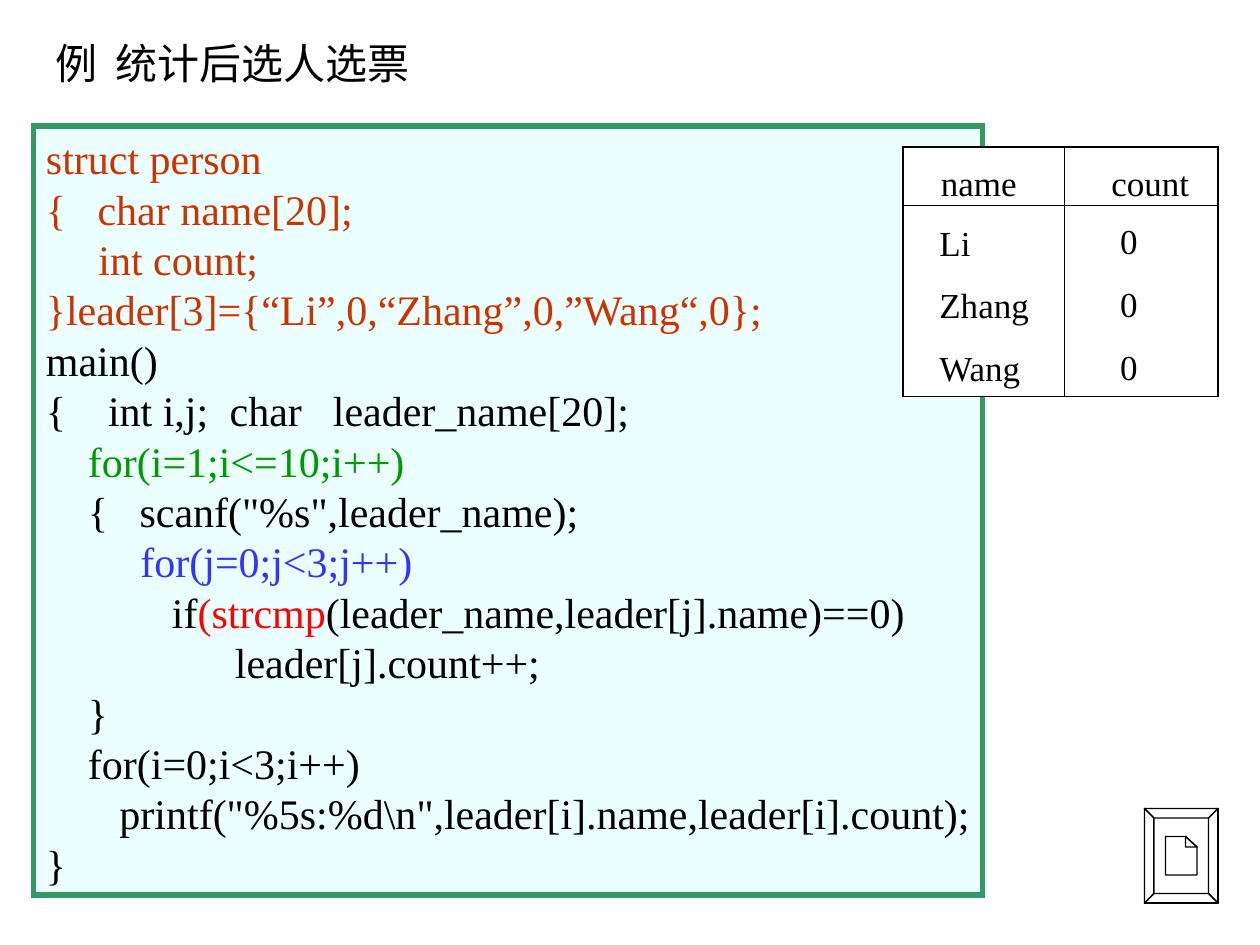
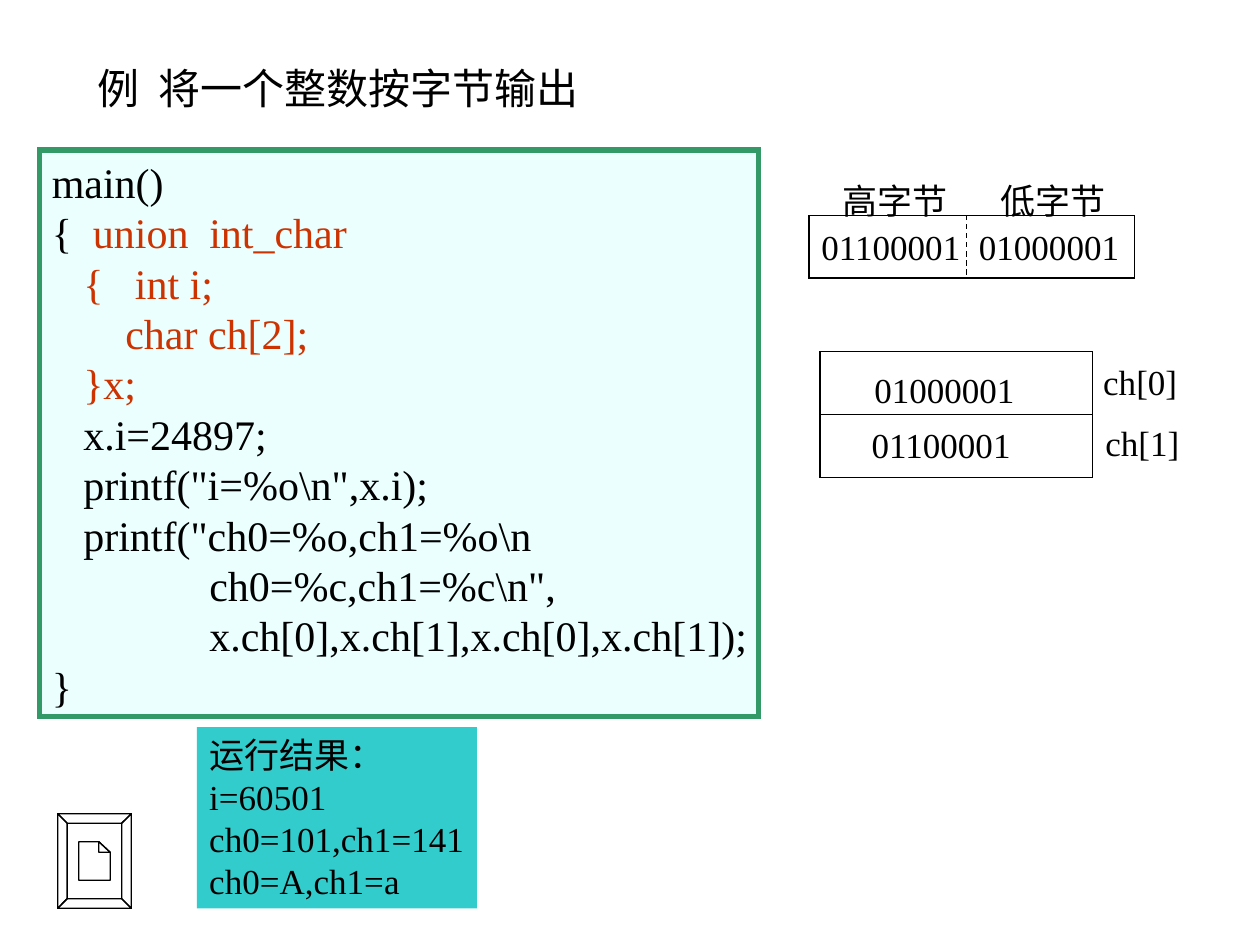
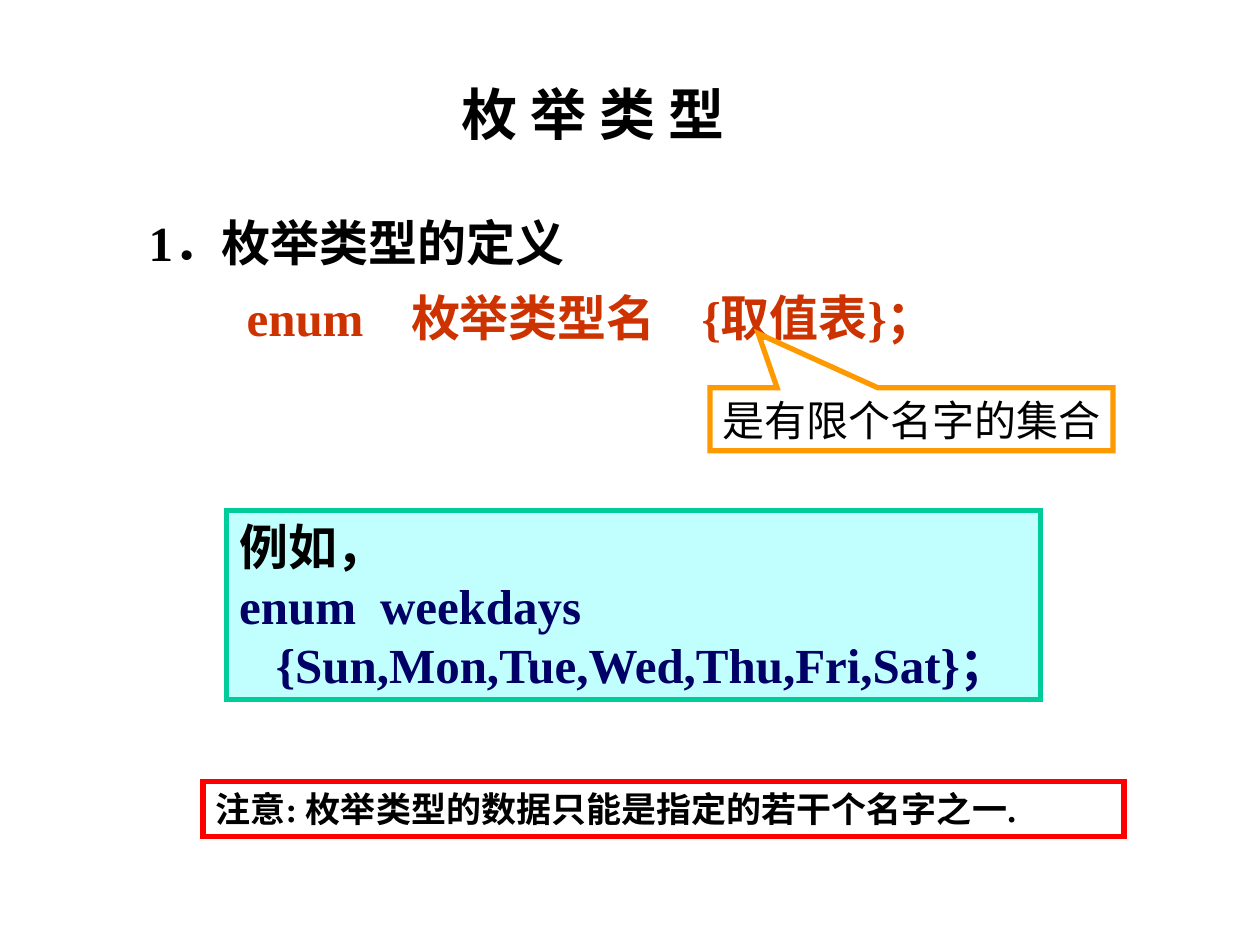
from lxml import etree
from pptx import Presentation
from pptx.dml.color import RGBColor
from pptx.enum.dml import MSO_LINE
from pptx.enum.shapes import MSO_CONNECTOR, MSO_SHAPE
from pptx.enum.text import MSO_ANCHOR, MSO_AUTO_SIZE, PP_ALIGN
from pptx.oxml.ns import qn
from pptx.util import Pt

RECTANGLE = MSO_SHAPE.RECTANGLE
CALLOUT = MSO_SHAPE.RECTANGULAR_CALLOUT
STRAIGHT = MSO_CONNECTOR.STRAIGHT
DASH = MSO_LINE.DASH
TOP, MIDDLE = MSO_ANCHOR.TOP, MSO_ANCHOR.MIDDLE
LEFT, CENTER = PP_ALIGN.LEFT, PP_ALIGN.CENTER
GROW, FIXED = MSO_AUTO_SIZE.SHAPE_TO_FIT_TEXT, MSO_AUTO_SIZE.NONE

LATIN_FONT = "Times New Roman"
CHINESE_FONT = "Noto Sans CJK SC"
COLORS = {
    "black": "000000", "white": "FFFFFF", "rust": "CC3300",
    "green": "009900", "blue": "3333FF", "red": "FF0000",
    "navy": "000066", "code": "EBFFFF", "frame": "339966",
    "result": "33CCCC", "example": "C1FFFF", "mint": "00CC99",
    "orange": "FF9900",
}
PALETTE = {name: RGBColor.from_string(value) for name, value in COLORS.items()}


def write(box, lines, size, bold=False, font=LATIN_FONT, wrap=False,
          anchor=TOP, align=LEFT, autosize=GROW):
    frame = box.text_frame
    frame.word_wrap = wrap
    frame.vertical_anchor = anchor
    frame.auto_size = autosize
    for number, (stops, spans) in enumerate(lines):
        para = frame.add_paragraph() if number else frame.paragraphs[0]
        para.alignment = align
        if stops:
            tabs = etree.SubElement(para._p.get_or_add_pPr(), qn("a:tabLst"))
            for stop in stops:
                etree.SubElement(tabs, qn("a:tab"), pos=str(Pt(stop)), algn="l")
        for text, color in spans:
            span = para.add_run()
            span.text = text
            span.font.size = Pt(size)
            span.font.bold = bold
            span.font.name = font
            span.font.color.rgb = PALETTE[color]
            etree.SubElement(span._r.get_or_add_rPr(), qn("a:ea"), typeface=CHINESE_FONT)


def add_panel(page, place, fill=None, border=None, width=3, preset=RECTANGLE):
    panel = page.shapes.add_shape(preset, *map(Pt, place))
    panel.shadow.inherit = False
    if fill:
        panel.fill.solid()
        panel.fill.fore_color.rgb = PALETTE[fill]
    else:
        panel.fill.background()
    if border:
        panel.line.color.rgb = PALETTE[border]
        panel.line.width = Pt(width)
        etree.SubElement(panel.line._get_or_add_ln(), qn("a:miter"), lim="800000")
    else:
        panel.line.fill.background()
    return panel


deck = Presentation()
deck.slide_width = Pt(720)
deck.slide_height = Pt(540)
votes, bytes_page, enums = [deck.slides.add_slide(deck.slide_layouts[6]) for _ in range(3)]

button_outlines = [
    [(0, 0), (42, 0), (42, 54), (0, 54)],
    [(0, 0), (42, 0), (36.6, 5.4), (5.4, 5.4)],
    [(42, 0), (42, 54), (36.6, 48.6), (36.6, 5.4)],
    [(42, 54), (0, 54), (5.4, 48.6), (36.6, 48.6)],
    [(0, 54), (0, 0), (5.4, 5.4), (5.4, 48.6)],
    [(12, 16), (23.5, 16), (30, 22), (30, 38), (12, 38)],
    [(23.5, 16), (30, 22), (23.5, 22)],
]
for page, left, top in [(votes, 654, 462), (bytes_page, 33, 465)]:
    builder = page.shapes.build_freeform(Pt(left), Pt(top))
    for outline in button_outlines:
        points = [(Pt(left + x), Pt(top + y)) for x, y in outline]
        builder.move_to(*points[0])
        builder.add_line_segments(points[1:], close=True)
    button = builder.convert_to_shape()
    button.shadow.inherit = False
    button.fill.solid()
    button.fill.fore_color.rgb = PALETTE["white"]
    button.line.color.rgb = PALETTE["black"]
    button.line.width = Pt(0.75)

titles = [
    (votes, (24.5, 18, 222, 36), "例\t统计后选人选票"),
    (bytes_page, (48.7, 32.4, 294, 36), "例\t将一个整数按字节输出"),
]
for page, place, text in titles:
    title = page.shapes.add_textbox(*map(Pt, place))
    write(title, [([34.7], [(text, "black")])], 24)

vote_code = [
    ([], [("struct person", "rust")]),
    ([29.5], [("{\tchar name[20];", "rust")]),
    ([30], [("\tint count;", "rust")]),
    ([], [("}leader[3]={“Li”,0,“Zhang”,0,”Wang“,0};", "rust")]),
    ([], [("main()", "black")]),
    ([35.5, 105, 164], [("{\tint i,j;\tchar\tleader_name[20];", "black")]),
    ([24], [("\tfor(i=1;i<=10;i++)", "green")]),
    ([24, 53.5], [("\t{\tscanf(\"%s\",leader_name);", "black")]),
    ([54], [("\tfor(j=0;j<3;j++)", "blue")]),
    ([72], [("\tif", "black"), ("(strcmp", "red"),
            ("(leader_name,leader[j].name)==0)", "black")]),
    ([108], [("\tleader[j].count++;", "black")]),
    ([24], [("\t}", "black")]),
    ([24], [("\tfor(i=0;i<3;i++)", "black")]),
    ([42], [("\tprintf(\"%5s:%d\\n\",leader[i].name,leader[i].count);", "black")]),
    ([], [("}", "black")]),
]
union_code = [
    ([], [("main()", "black")]),
    ([23.5, 90], [("{\t", "black"), ("union\tint_char", "rust")]),
    ([18, 47.5], [("\t{\tint i;", "rust")]),
    ([42], [("\tchar ch[2];", "rust")]),
    ([18], [("\t}x;", "rust")]),
    ([18], [("\tx.i=24897;", "black")]),
    ([18], [("\tprintf(\"i=%o\\n\",x.i);", "black")]),
    ([18], [("\tprintf(\"ch0=%o,ch1=%o\\n", "black")]),
    ([90], [("\tch0=%c,ch1=%c\\n\",", "black")]),
    ([90], [("\tx.ch[0],x.ch[1],x.ch[0],x.ch[1]);", "black")]),
    ([], [("}", "black")]),
]
for page, place, code in [
    (votes, (19.2, 72, 542.2, 439.5), vote_code),
    (bytes_page, (22.5, 85.7, 411, 324), union_code),
]:
    code_box = add_panel(page, place, "code", "frame")
    write(code_box, code, 24, anchor=MIDDLE)
    code_box.text_frame.margin_right = Pt(2)

add_panel(votes, (516, 84, 180, 142.5), "white", "black", 0.75)
integer_box = add_panel(bytes_page, (462.3, 123, 186, 36), None, "black", 0.75)
write(integer_box, [([90], [("01100001\t01000001", "black")])], 20,
      anchor=MIDDLE, autosize=FIXED)
array_box = add_panel(bytes_page, (468.5, 201, 156, 72), None, "black", 0.75)

rules = [
    (votes, (516, 117.5, 696, 117.5)),
    (votes, (608.5, 84, 608.5, 226.5)),
    (bytes_page, (552.3, 123, 552.3, 159)),
    (bytes_page, (468.5, 237, 624.5, 237)),
]
connectors = []
for page, ends in rules:
    rule = page.shapes.add_connector(STRAIGHT, *map(Pt, ends))
    rule.line.color.rgb = PALETTE["black"]
    rule.line.width = Pt(0.75)
    etree.SubElement(rule._element.spPr, qn("a:effectLst"))
    connectors.append(rule)
byte_divider, array_divider = connectors[2:]
byte_divider.line.dash_style = DASH
array_divider.begin_connect(array_box, 1)
array_divider.end_connect(array_box, 3)

labels = [
    (votes, "name", 530.5, 88.5, 60),
    (votes, "count", 628, 88.5, 61),
    (bytes_page, "低字节", 564.5, 99.2, 78),
    (bytes_page, "高字节", 474.5, 99.2, 78),
    (bytes_page, "01000001", 492.5, 206.9, 96),
    (bytes_page, "01100001", 491, 238.3, 96),
    (bytes_page, "ch[0]", 623.3, 202.3, 59),
    (bytes_page, "ch[1]", 624.5, 237.2, 59),
]
for row, (name, width) in enumerate([("Li", 34), ("Zhang", 67), ("Wang", 64)]):
    labels.append((votes, name, 529.7, 123 + 35.7 * row, width))
    labels.append((votes, "0", 633, 121.7 + 36 * row, 26))
for page, text, left, top, width in labels:
    label = page.shapes.add_textbox(Pt(left), Pt(top), Pt(width), Pt(31.5))
    write(label, [([], [(text, "black")])], 20)

result = add_panel(bytes_page, (112.5, 415.5, 160, 103.7), "result")
result_lines = ["运行结果：", "i=60501", "ch0=101,ch1=141", "ch0=A,ch1=a"]
write(result, [([], [(text, "black")]) for text in result_lines], 20)

definition = enums.shapes.add_textbox(Pt(77.8), Pt(118), Pt(553), Pt(118))
write(definition, [
    ([], [("1．枚举类型的定义", "black")]),
    ([56, 150, 316], [("\tenum\t枚举类型名\t{取值表}；", "rust")]),
], 28, bold=True, wrap=True, autosize=FIXED)
definition.text_frame.paragraphs[1].space_before = Pt(9.3)

example = add_panel(enums, (129.6, 291.6, 465, 108), "example", "mint")
write(example, [
    ([], [("例如，", "black")]),
    ([80.5], [("enum\tweekdays", "navy")]),
    ([21], [("\t{Sun,Mon,Tue,Wed,Thu,Fri,Sat}；", "navy")]),
], 28, bold=True)

heading = enums.shapes.add_textbox(Pt(256.8), Pt(41.8), Pt(177), Pt(46))
write(heading, [([], [("枚 举 类 型", "black")])], 32, bold=True, wrap=True)

note = add_panel(enums, (116, 446.4, 526.3, 31.7), None, "red")
write(note, [([], [("注意: 枚举类型的数据只能是指定的若干个名字之一.", "black")])],
      20, bold=True, wrap=True)

callout = add_panel(enums, (405.7, 221.6, 230.4, 36), None, "orange", preset=CALLOUT)
callout.adjustments[0] = -0.38
callout.adjustments[1] = -1.36
write(callout, [([], [("是有限个名字的集合", "black")])], 24,
      font=CHINESE_FONT, anchor=MIDDLE, align=CENTER)

deck.save("out.pptx")
